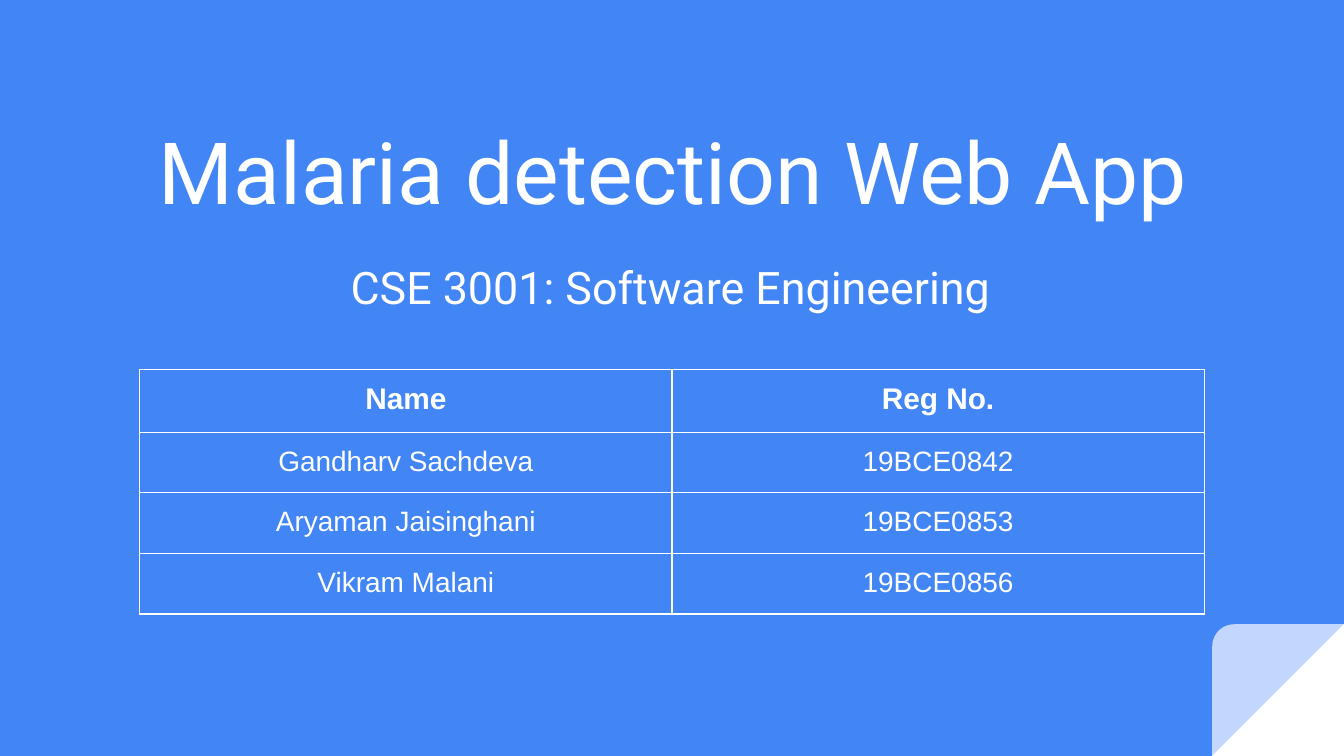
from lxml import etree
from pptx import Presentation
from pptx.dml.color import RGBColor
from pptx.enum import shapes, text
from pptx.oxml.ns import qn
from pptx.util import Inches, Pt

WHITE = "FFFFFF"


def paint(color_format, value):
    color_format.rgb = RGBColor.from_string(value)


def write(frame, content, size, font="Roboto", bold=False,
          align=text.PP_ALIGN.CENTER, anchor=text.MSO_ANCHOR.TOP):
    frame.word_wrap = True
    frame.vertical_anchor = anchor
    paragraph = frame.paragraphs[0]
    paragraph.alignment = align
    run = paragraph.add_run()
    run.text = content
    run.font.size = Pt(size)
    run.font.name = font
    run.font.bold = bold
    paint(run.font.color, WHITE)


deck = Presentation()
deck.slide_width = Inches(10)
deck.slide_height = Inches(10 * 9 / 16)
slide = deck.slides.add_slide(deck.slide_layouts[6])
slide.background.fill.solid()
paint(slide.background.fill.fore_color, "4285F4")

fold = Inches(0.98)
for outline, opacity in (
    (shapes.MSO_SHAPE.RIGHT_TRIANGLE, 100),
    (shapes.MSO_SHAPE.ROUND_1_RECTANGLE, 68),
):
    corner = slide.shapes.add_shape(
        outline, deck.slide_width - fold, deck.slide_height - fold, fold, fold)
    corner.shadow.inherit = False
    corner.line.fill.background()
    corner.fill.solid()
    paint(corner.fill.fore_color, WHITE)
    corner._element.spPr.find(qn("a:xfrm")).set("flipH", "1")
    if opacity < 100:
        tint = corner._element.spPr.find(qn("a:solidFill"))[0]
        etree.SubElement(tint, qn("a:alpha")).set("val", str(opacity * 1000))

for left, top, width, height, content, style in (
    (0.51, 0.73, 8.99, 1.02, "Malaria detection Web App",
     dict(size=46, anchor=text.MSO_ANCHOR.BOTTOM)),
    (2.51, 1.83, 4.98, 0.61, "CSE 3001: Software Engineering",
     dict(size=24, align=text.PP_ALIGN.LEFT)),
):
    heading = slide.shapes.add_textbox(
        Inches(left), Inches(top), Inches(width), Inches(height)).text_frame
    heading.margin_left = heading.margin_right = Inches(0.1)
    heading.margin_top = heading.margin_bottom = Inches(0.1)
    write(heading, content, **style)

members = [
    ("Name", "Reg No."),
    ("Gandharv Sachdeva", "19BCE0842"),
    ("Aryaman Jaisinghani", "19BCE0853"),
    ("Vikram Malani", "19BCE0856"),
]
roster = slide.shapes.add_table(
    len(members), 2, Inches(1.04), Inches(2.75),
    Inches(2 * 3.96), Inches(0.42 * len(members))).table
roster.first_row = False
roster.horz_banding = False
for row, member in enumerate(members):
    for column, content in enumerate(member):
        cell = roster.cell(row, column)
        cell.margin_left = cell.margin_right = Inches(0.1)
        cell.margin_top = cell.margin_bottom = Inches(0.1)
        write(cell.text_frame, content, size=15 if row else 16,
              font="Arial", bold=row == 0)
        properties = cell._tc.get_or_add_tcPr()
        for side in ("a:lnL", "a:lnR", "a:lnT", "a:lnB"):
            border = etree.SubElement(properties, qn(side), w=str(Pt(0.75)))
            stroke = etree.SubElement(border, qn("a:solidFill"))
            etree.SubElement(stroke, qn("a:srgbClr"), val=WHITE)
        cell.fill.background()

deck.save("out.pptx")
